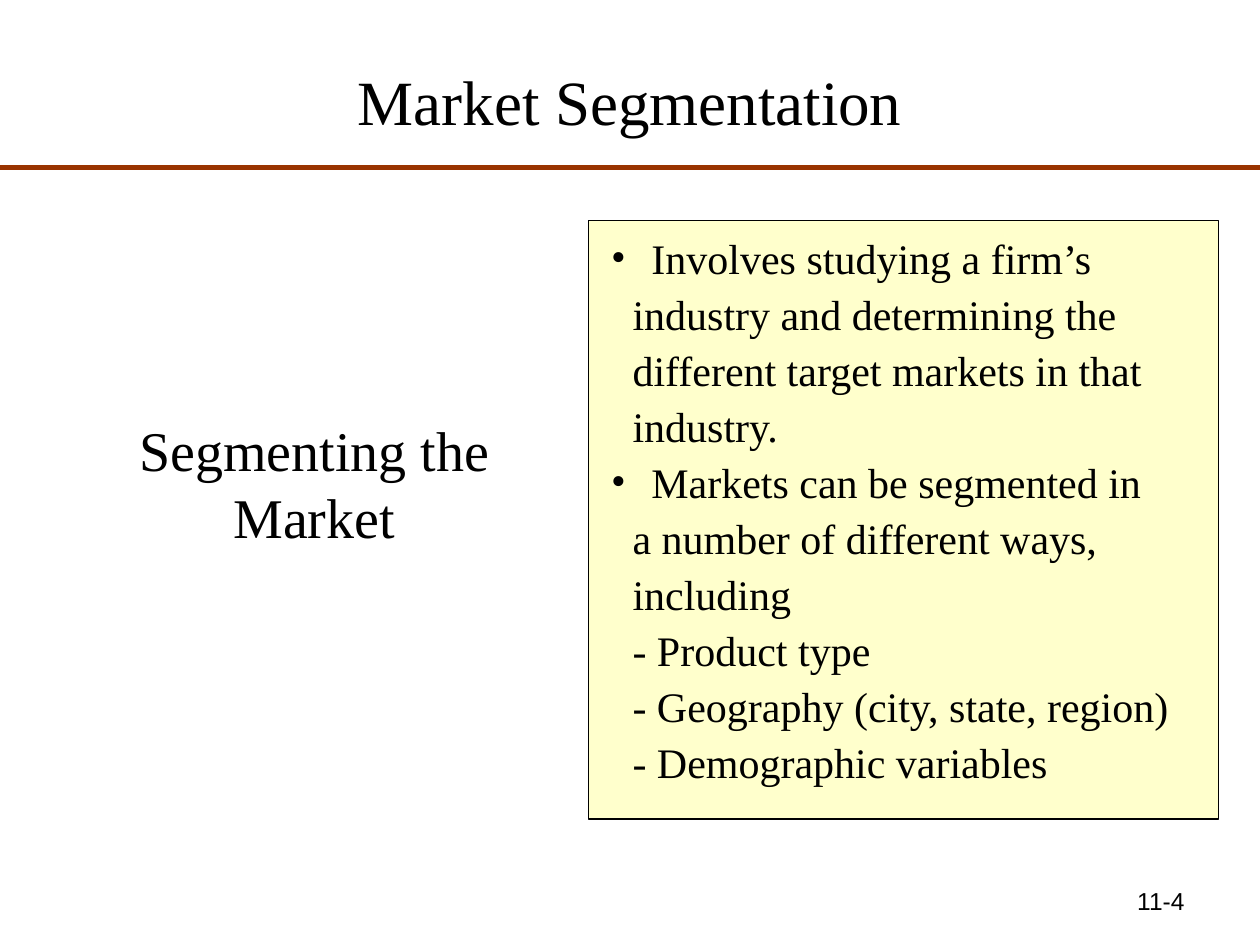
from lxml.etree import SubElement
from pptx import Presentation
from pptx.dml.color import RGBColor
from pptx.enum.shapes import MSO_CONNECTOR as Connector, MSO_SHAPE as Shape
from pptx.enum.text import MSO_ANCHOR as Anchor, MSO_AUTO_SIZE as AutoSize, PP_ALIGN as Align
from pptx.oxml.ns import qn
from pptx.util import Inches, Pt

COLORS = {"text": "000000", "rule": "993300", "panel": "FFFFCC", "paper": "FFFFFF"}
SERIF, SANS = "Times New Roman", "Arial"

# Lines of the panel: (is bulleted, text)
POINTS = [
    (True, "Involves studying a firm’s"),
    (False, "industry and determining the"),
    (False, "different target markets in that"),
    (False, "industry."),
    (True, "Markets can be segmented in"),
    (False, "a number of different ways,"),
    (False, "including"),
    (False, "- Product type"),
    (False, "- Geography (city, state, region)"),
    (False, "- Demographic variables"),
]


def color(name):
    return RGBColor.from_string(COLORS[name])


def place(shape, box):
    shape.left, shape.top, shape.width, shape.height = (Inches(v) for v in box)


def style(para, size, face=SERIF, align=Align.LEFT):
    para.alignment = align
    for span in para.runs:
        span.font.size = Pt(size)
        span.font.name = face
        span.font.color.rgb = color("text")


def set_bullet(para, bulleted):
    indent = Inches(0.32 if bulleted else 0.17)
    props = para._p.get_or_add_pPr()
    props.set("marL", str(indent))
    props.set("indent", str(-indent if bulleted else 0))
    if bulleted:
        SubElement(props, qn("a:buFont"), typeface=SERIF)
        SubElement(props, qn("a:buChar"), char="•")
    else:
        SubElement(props, qn("a:buNone"))


def add_label(page, box, text, size, face, align):
    label = page.shapes.add_textbox(*(Inches(v) for v in box))
    label.text_frame.word_wrap = True
    label.text_frame.text = text
    style(label.text_frame.paragraphs[0], size, face, align)


def add_heading(page, box, rule_y):
    title = page.shapes.title
    place(title, box)
    title.text_frame.text = "Market Segmentation"
    title.text_frame.vertical_anchor = Anchor.MIDDLE
    title.text_frame.auto_size = AutoSize.NONE
    style(title.text_frame.paragraphs[0], 36, align=Align.CENTER)

    rule = page.shapes.add_connector(
        Connector.STRAIGHT, 0, Inches(rule_y), Inches(10), Inches(rule_y))
    rule.line.color.rgb = color("rule")
    rule.line.width = Pt(3)
    SubElement(rule._element.spPr, qn("a:effectLst"))


def add_points_panel(page, box):
    left, top, width, height = box
    panel = page.shapes.add_shape(Shape.RECTANGLE, *(Inches(v) for v in box))
    panel.shadow.inherit = False
    panel.fill.solid()
    panel.fill.fore_color.rgb = color("panel")
    panel.line.color.rgb = color("text")
    panel.line.width = Pt(0.75)

    # The list stands in front of its panel
    body = page.placeholders[1]
    panel._element.addnext(body._element)
    place(body, (left + 0.08, top, width - 0.25, height - 0.21))
    frame = body.text_frame
    frame.auto_size = AutoSize.NONE
    frame.text = "\n".join(text for _, text in POINTS)
    for para, (bulleted, _) in zip(frame.paragraphs, POINTS):
        para.line_spacing = Pt(32)
        para.space_before = Pt(0)
        set_bullet(para, bulleted)
        style(para, 24)


def main():
    deck = Presentation()
    deck.slide_width, deck.slide_height = Inches(10), Inches(7.5)
    page = deck.slides.add_slide(deck.slide_layouts[1])
    page.background.fill.solid()
    page.background.fill.fore_color.rgb = color("paper")

    add_heading(page, (0.5, 0.17, 9, 1.25), rule_y=1.33)
    # Topic on the left
    add_label(page, (0.33, 3.25, 4.33, 1.17), "Segmenting the Market", 32, SERIF, Align.CENTER)
    add_points_panel(page, (4.67, 1.75, 5, 4.75))
    # Page number
    add_label(page, (7.17, 6.98, 2.33, 0.52), "11-4", 14, SANS, Align.RIGHT)
    deck.save("out.pptx")


if __name__ == "__main__":
    main()
